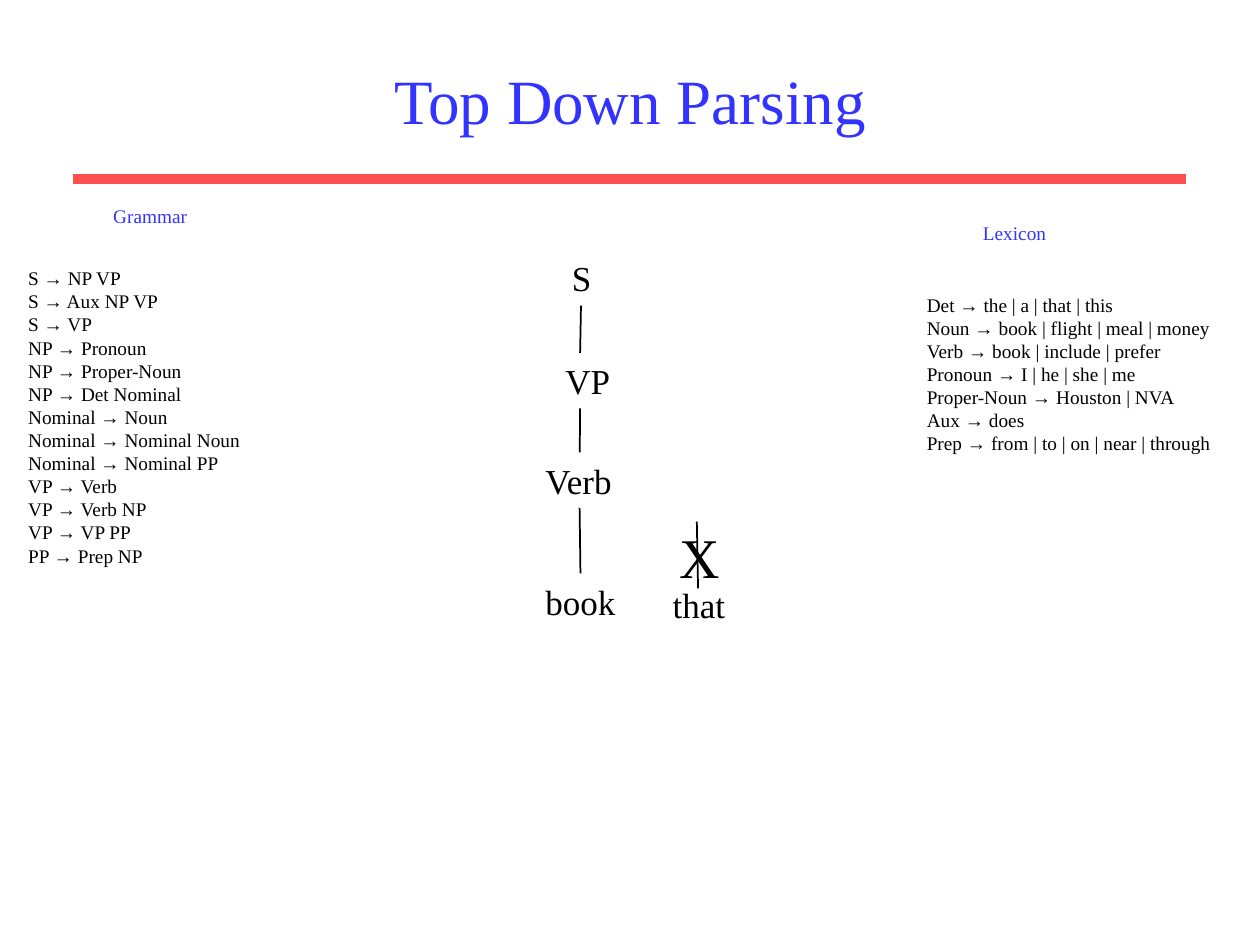
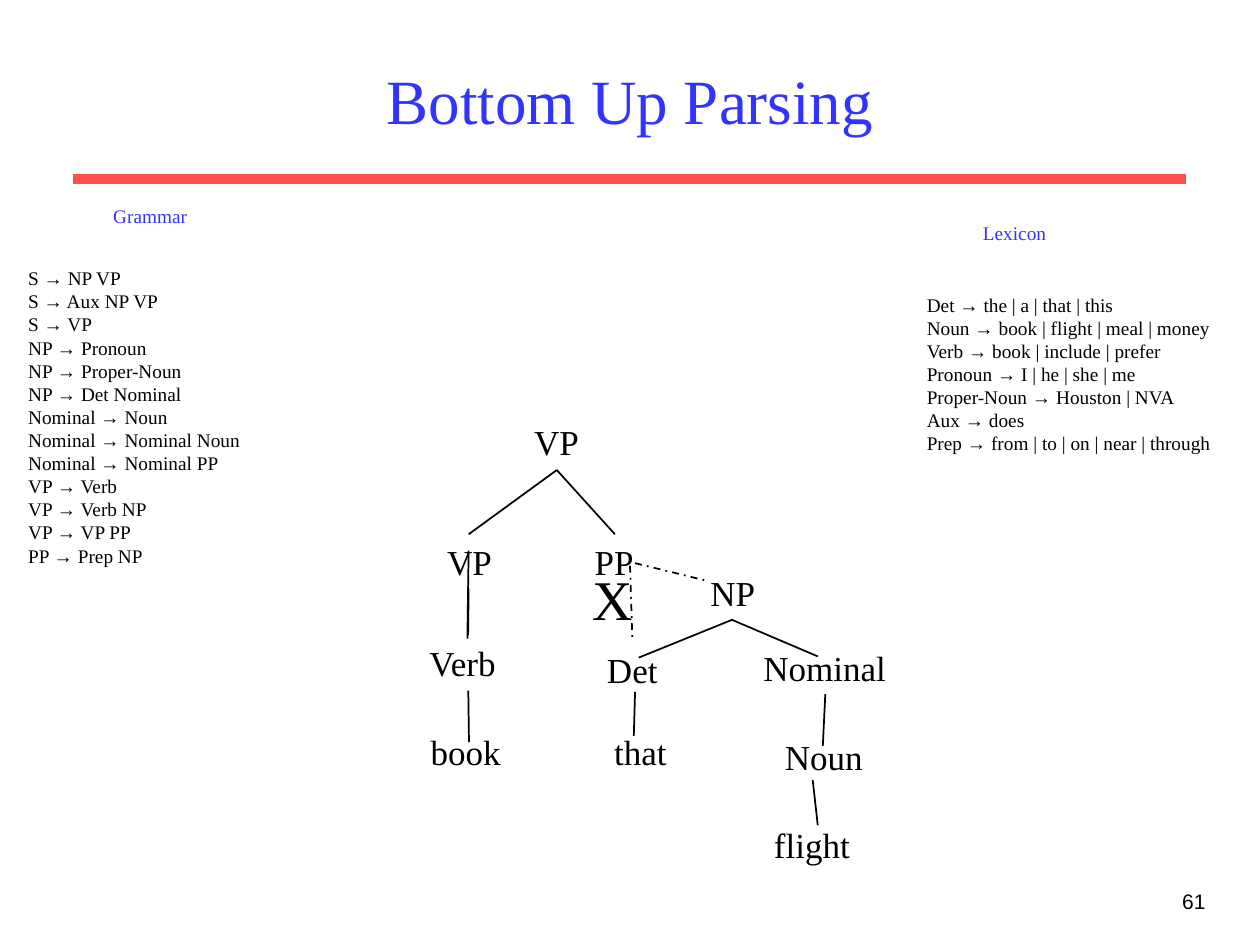
from pptx import Presentation
from pptx.dml.color import RGBColor
from pptx.enum.dml import MSO_LINE_DASH_STYLE as Dash
from pptx.enum.shapes import MSO_CONNECTOR as Connector
from pptx.enum.text import MSO_ANCHOR as Anchor, MSO_AUTO_SIZE as AutoSize, PP_ALIGN as Align
from pptx.oxml.ns import qn
from pptx.util import Pt
from lxml.etree import SubElement

BLUE = RGBColor(0x33, 0x33, 0xFF)
RED = RGBColor(0xFF, 0x50, 0x50)
BLACK = RGBColor(0, 0, 0)
SERIF = "Times New Roman"
SANS = "Arial"

GRAMMAR = [
    "S → NP VP",
    "S → Aux NP VP",
    "S → VP",
    "NP → Pronoun",
    "NP → Proper-Noun",
    "NP → Det Nominal",
    "Nominal → Noun",
    "Nominal → Nominal Noun",
    "Nominal → Nominal PP",
    "VP → Verb",
    "VP → Verb NP",
    "VP → VP PP",
    "PP → Prep NP",
]
LEXICON = [
    "Det → the | a | that | this",
    "Noun → book | flight | meal | money",
    "Verb → book | include | prefer",
    "Pronoun → I | he | she | me",
    "Proper-Noun → Houston | NVA",
    "Aux → does",
    "Prep → from | to | on | near | through",
]
SIDE_PANELS = [
    (GRAMMAR, (9, 148.7, 136.8, 179.3), BLACK, True),
    (LEXICON, (522.5, 163.8, 183.6, 100), BLACK, True),
    (["Grammar"], (57.6, 113.4, 56.9, 20.9), BLUE, False),
    (["Lexicon"], (554.6, 122.8, 50.4, 20.9), BLUE, False),
]

NODE_WIDTHS = {
    "S": 26, "VP": 42, "PP": 39, "NP": 42, "Verb": 56, "Det": 47, "Noun": 61,
    "Nominal": 88, "book": 58, "that": 48, "flight": 61, "X": 40,
}
FAILURE_MARK = "X"

SLIDES = [
    {
        "title": "Top Down Parsing",
        "nodes": [
            ("S", 319.7, 143.3),
            ("VP", 316, 201.6),
            ("Verb", 304.6, 258.8),
            ("book", 304.6, 327.9),
            ("X", 381.2, 294.8),
            ("that", 377.3, 329.8),
        ],
        "branches": [
            (332, 174.6, 331.5, 201.6),
            (331.5, 233.3, 331.3, 258.5),
            (331.2, 290.2, 331.7, 327.6),
            (398.2, 298.1, 398.9, 336.2),
        ],
    },
    {
        "title": "Bottom Up Parsing",
        "number": "61",
        "nodes": [
            ("VP", 298.1, 236.9),
            ("VP", 248.4, 305.3),
            ("Verb", 238.3, 362.9),
            ("book", 239, 414),
            ("PP", 332.8, 305.3),
            ("X", 331.2, 319),
            ("NP", 398.9, 323.3),
            ("Det", 339.8, 366.8),
            ("that", 343.8, 414),
            ("Nominal", 429.1, 365.8),
            ("Noun", 441.4, 416.9),
            ("flight", 435.2, 467.3),
        ],
        "branches": [
            (318.2, 268.6, 267.8, 305.3),
            (318.2, 268.6, 351.4, 305.3),
            (267.8, 314.6, 267.1, 365),
            (267.8, 336.2, 267.5, 362.9),
            (267.6, 394.6, 268, 424.1),
            (418.3, 354.2, 365, 375.8),
            (418.3, 354.2, 467.3, 375.1),
            (362.9, 395.3, 362.2, 420.5),
            (471.6, 396.7, 470.2, 426.2),
            (464.4, 445.7, 467.3, 471.6),
        ],
        "failed_branches": [
            (360, 323.3, 361.4, 366.5),
            (362.9, 321.8, 403.9, 331.9),
        ],
    },
]


def add_text(page, lines, frame, size=20, color=BLACK, font=SERIF,
             align=Align.LEFT, anchor=Anchor.TOP, wrap=False):
    box = page.shapes.add_textbox(*map(Pt, frame))
    text = box.text_frame
    text.word_wrap = wrap
    text.auto_size = AutoSize.NONE if wrap else AutoSize.SHAPE_TO_FIT_TEXT
    text.vertical_anchor = anchor
    for index, line in enumerate(lines):
        para = text.add_paragraph() if index else text.paragraphs[0]
        para.alignment = align
        span = para.add_run()
        span.text = line
        span.font.size = Pt(size)
        span.font.name = font
        span.font.color.rgb = color


def add_line(page, ends, color=BLACK, width=1, dash=None):
    line = page.shapes.add_connector(Connector.STRAIGHT, *map(Pt, ends))
    line.line.color.rgb = color
    line.line.width = Pt(width)
    if dash:
        line.line.dash_style = dash
    SubElement(line._element.spPr, qn("a:effectLst"))


def build_slide(deck, content):
    page = deck.slides.add_slide(deck.slide_layouts[6])
    add_line(page, (42, 102.2, 678, 102.2), color=RED, width=6)
    add_text(page, [content["title"]], (54, 18, 612, 78), size=36, color=BLUE,
             align=Align.CENTER, anchor=Anchor.MIDDLE, wrap=True)
    for label, left, top in content["nodes"]:
        failed = label == FAILURE_MARK
        frame = (left, top, NODE_WIDTHS[label], 46 if failed else 31.5)
        add_text(page, [label], frame, size=32 if failed else 20)
    for ends in content["branches"]:
        add_line(page, ends)
    for ends in content.get("failed_branches", []):
        add_line(page, ends, dash=Dash.DASH_DOT)
    for lines, frame, color, wrap in SIDE_PANELS:
        add_text(page, lines, frame, size=11, color=color, wrap=wrap)
    if "number" in content:
        add_text(page, [content["number"]], (546, 504, 150, 36), size=12,
                 font=SANS, align=Align.RIGHT, wrap=True)


def main():
    deck = Presentation()
    deck.slide_width, deck.slide_height = Pt(720), Pt(540)
    for content in SLIDES:
        build_slide(deck, content)
    deck.save("out.pptx")


if __name__ == "__main__":
    main()
